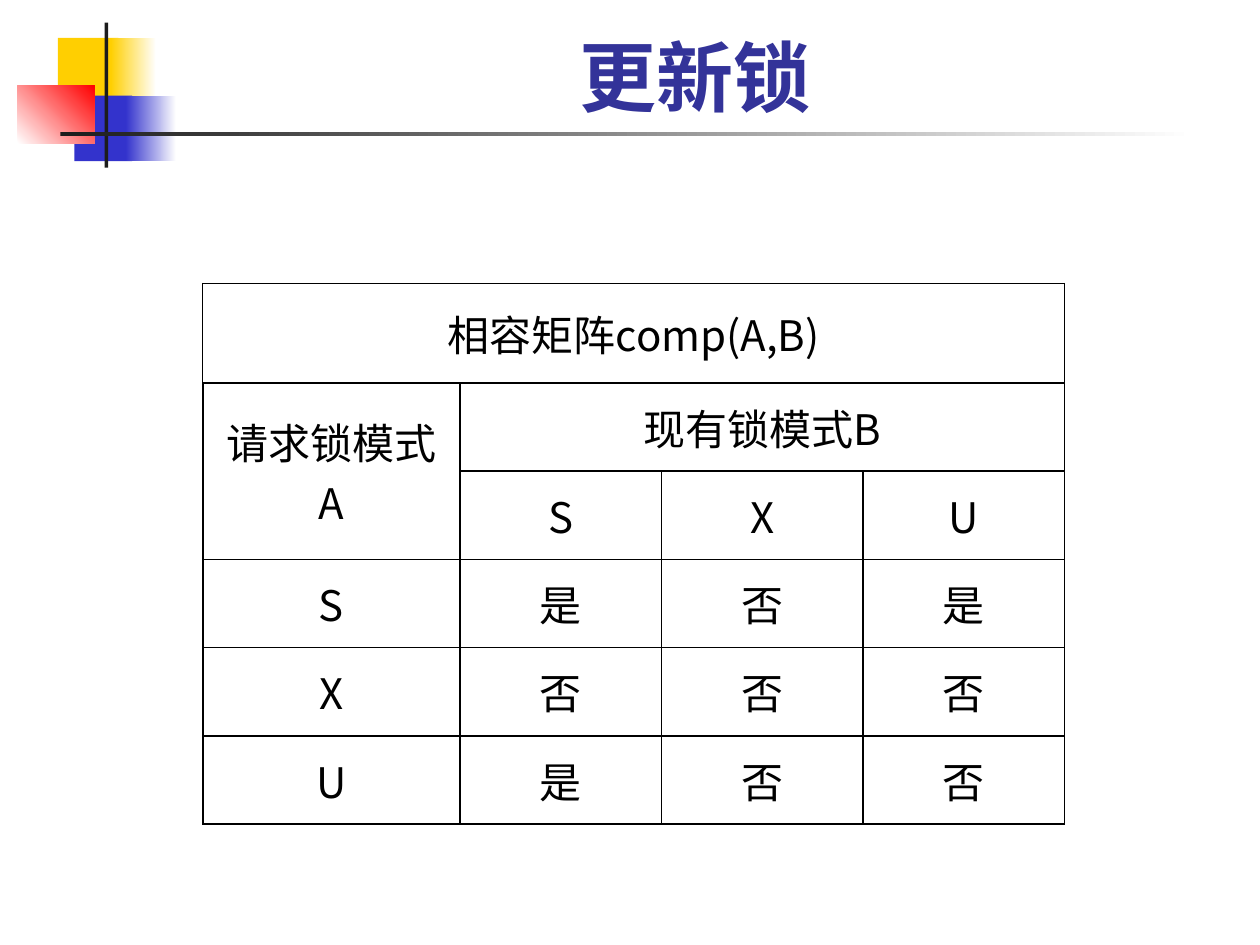
from typing import NamedTuple, Optional

from lxml.etree import SubElement
from pptx import Presentation
from pptx.dml.color import RGBColor
from pptx.enum.shapes import MSO_SHAPE
from pptx.enum.text import MSO_ANCHOR, MSO_AUTO_SIZE, PP_ALIGN
from pptx.oxml.ns import qn
from pptx.util import Inches, Pt

CJK_FONT = "Noto Sans CJK SC"
COL_WIDTHS = [2.04, 1.6, 1.6, 1.6]
ROW_HEIGHTS = [0.79] + [0.7] * 5
MODES = ["S", "X", "U"]
COMPATIBLE = ["是否是", "否否否", "是否否"]


class Block(NamedTuple):
    left: float
    top: float
    width: float
    height: float
    color: str
    end: Optional[str] = None
    angle: int = 0


class Span(NamedTuple):
    row: int
    col: int
    last_row: int
    last_col: int


BLOCKS = [
    Block(0.46, 0.3, 0.48, 0.52, "FFCF01"),
    Block(0.88, 0.3, 0.36, 0.52, "FFCF01", "FFFFFF"),
    Block(0.59, 0.76, 0.46, 0.52, "3333CC"),
    Block(1, 0.76, 0.4, 0.52, "3333CC", "FFFFFF"),
    Block(0.14, 0.68, 0.61, 0.46, "FFFFFF", "FF0000", 45),
    Block(0.83, 0.18, 0.03, 1.15, "1C1C1C"),
    Block(0.48, 1.05, 9, 0.03, "1C1C1C", "FFFFFF"),
]
SPANS = [Span(0, 0, 0, 3), Span(1, 0, 2, 0), Span(1, 1, 1, 3)]


def rgb(color: str) -> RGBColor:
    return RGBColor.from_string(color)


def format_paragraph(p, size: int, font: str, color: str, bold: bool = False) -> None:
    p.alignment = PP_ALIGN.CENTER
    p.font.size = Pt(size)
    p.font.name = font
    p.font.bold = bold
    p.font.color.rgb = rgb(color)
    props = p._p.pPr.find(qn("a:defRPr"))
    SubElement(props, qn("a:ea"), typeface=CJK_FONT)


def draw_block(slide, block: Block) -> None:
    sp = slide.shapes.add_shape(
        MSO_SHAPE.RECTANGLE, *map(Inches, block[:4]))
    sp.shadow.inherit = False
    sp.line.fill.background()
    if block.end is None:
        sp.fill.solid()
        sp.fill.fore_color.rgb = rgb(block.color)
        return
    sp.fill.gradient()
    sp.fill.gradient_angle = block.angle
    for stop, color in zip(sp.fill.gradient_stops, (block.color, block.end)):
        stop.color.rgb = rgb(color)


def draw_title(slide, text: str) -> None:
    title = slide.shapes.title
    title.left, title.top = Inches(1.26), Inches(0.18)
    title.width, title.height = Inches(8.52), Inches(0.84)
    tf = title.text_frame
    tf.text = text
    tf.auto_size = MSO_AUTO_SIZE.NONE
    tf.vertical_anchor = MSO_ANCHOR.BOTTOM
    format_paragraph(tf.paragraphs[0], 44, "Karla", "333399", True)


def set_borders(cell, widths: dict[str, float]) -> None:
    props = cell._tc.get_or_add_tcPr()
    for side, width in widths.items():
        ln = SubElement(props, qn(f"a:ln{side}"), w=str(Pt(width)))
        fill = SubElement(ln, qn("a:solidFill"))
        SubElement(fill, qn("a:srgbClr"), val="000000")


def draw_matrix(slide) -> None:
    texts = [
        ["相容矩阵comp(A,B)", "", "", ""],
        ["请求锁模式A", "现有锁模式B", "", ""],
        ["", *MODES],
        *([mode, *answers] for mode, answers in zip(MODES, COMPATIBLE)),
    ]
    table = slide.shapes.add_table(
        len(ROW_HEIGHTS), len(COL_WIDTHS), Inches(1.61), Inches(2.25),
        Inches(sum(COL_WIDTHS)), Inches(sum(ROW_HEIGHTS))).table
    table.first_row = table.horz_banding = False
    for col, width in zip(table.columns, COL_WIDTHS):
        col.width = Inches(width)
    for i, (row, height) in enumerate(zip(table.rows, ROW_HEIGHTS)):
        row.height = Inches(height)
        outer = 0.75 if i == 0 else 1
        for cell, text in zip(row.cells, texts[i]):
            set_borders(cell, {"L": outer, "R": outer, "T": outer, "B": 1})
            cell.fill.background()
            cell.vertical_anchor = MSO_ANCHOR.MIDDLE
            cell.text = text
            format_paragraph(
                cell.text_frame.paragraphs[0], 24, CJK_FONT, "000000")
    for span in SPANS:
        table.cell(span.row, span.col).merge(
            table.cell(span.last_row, span.last_col))


def main() -> None:
    prs = Presentation()
    prs.slide_width, prs.slide_height = Inches(10), Inches(7.5)
    slide = prs.slides.add_slide(prs.slide_layouts[5])
    for block in BLOCKS:
        draw_block(slide, block)
    draw_title(slide, "更新锁")
    draw_matrix(slide)
    prs.save("out.pptx")


if __name__ == "__main__":
    main()
